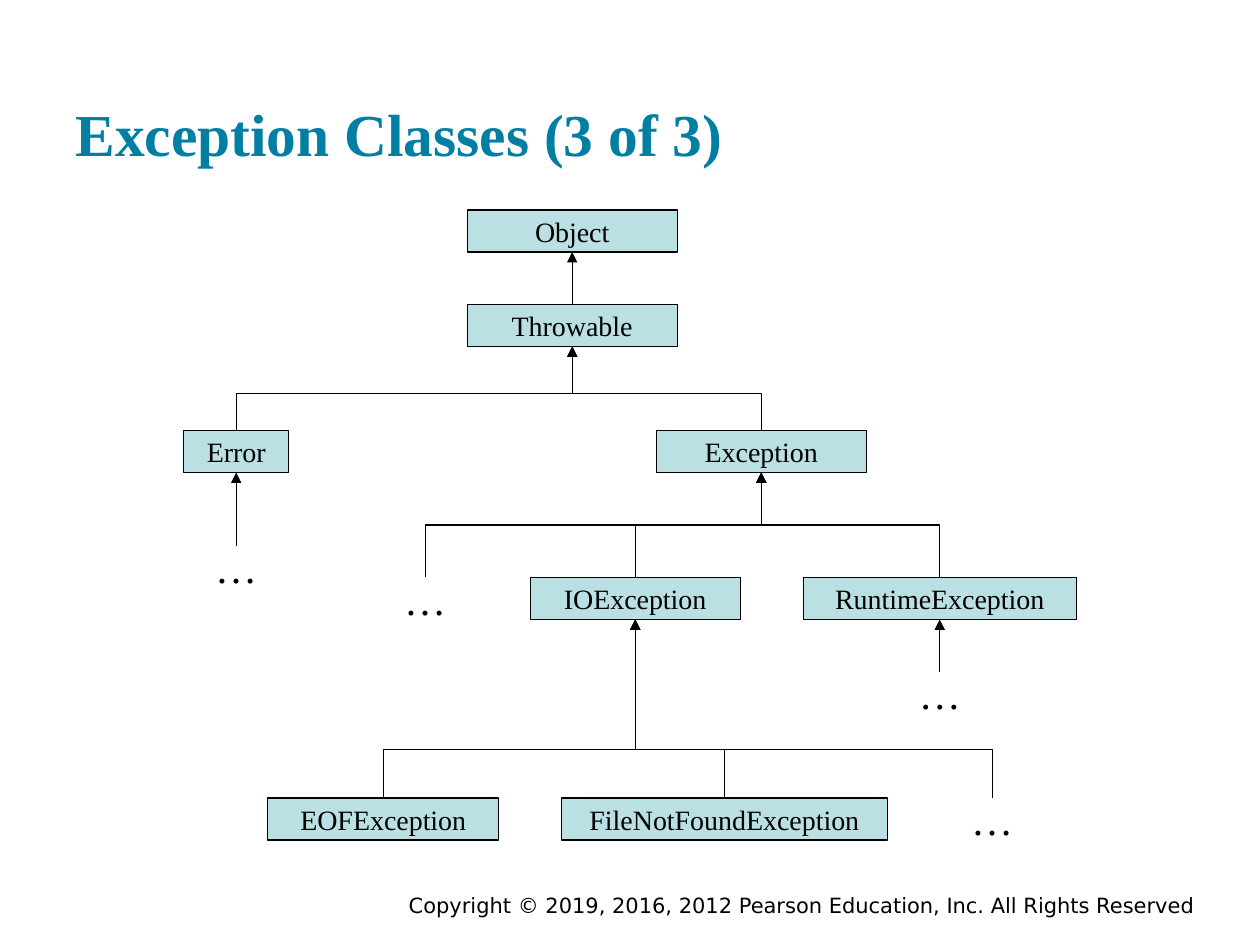
from lxml import etree
from pptx import Presentation
from pptx.dml.color import RGBColor
from pptx.enum.shapes import MSO_CONNECTOR, MSO_SHAPE
from pptx.enum.text import MSO_ANCHOR, PP_ALIGN
from pptx.oxml.ns import qn
from pptx.util import Emu, Pt

STRAIGHT, ELBOW = MSO_CONNECTOR.STRAIGHT, MSO_CONNECTOR.ELBOW
RECT = MSO_SHAPE.RECTANGLE
MIDDLE, BOTTOM = MSO_ANCHOR.MIDDLE, MSO_ANCHOR.BOTTOM
LEFT, CENTER, RIGHT = PP_ALIGN.LEFT, PP_ALIGN.CENTER, PP_ALIGN.RIGHT

TEAL = RGBColor(0x00, 0x7F, 0xA3)
PALE = RGBColor(0xBB, 0xE0, 0xE3)
BLACK = RGBColor(0x00, 0x00, 0x00)

SERIF, SANS = "Times New Roman", "DejaVu Sans"
SCALE = 9525
HIGH = 32
DOT_WIDE = 64

NODES = {
    "Object": (216, 0, 160),
    "Throwable": (216, 72, 160),
    "Exception": (360, 168, 160),
    "Error": (0, 168, 80),
    "RuntimeException": (472, 280, 208),
    "IOException": (264, 280, 160),
    "FileNotFoundException": (288, 448, 248),
    "EOFException": (64, 448, 176),
}
DOTS = {
    "Error": (8, 256),
    "RuntimeException": (544, 352),
    "IOException": (584, 448),
    "Exception": (152, 280),
}
LINKS = [
    ("Throwable", "Object", 0),
    ("Error", "Throwable", 28),
    ("Exception", "Throwable", 28),
    ("IOException", "Exception", 40),
    ("RuntimeException", "Exception", 40),
    ("FileNotFoundException", "IOException", 37),
    ("EOFException", "IOException", 37),
]
DOT_BENDS = {"Error": 0, "RuntimeException": 0, "IOException": 37, "Exception": 40}


def px(*sizes):
    """Turn px lengths into EMU."""
    return [Emu(size * SCALE) for size in sizes]


def write(shape, text, size, align, font=SERIF, color=BLACK, bold=False):
    """Put one formatted paragraph in a shape."""
    frame = shape.text_frame
    frame.text = text
    para = frame.paragraphs[0]
    para.alignment = align
    para.font.name, para.font.size = font, Pt(size)
    para.font.bold, para.font.color.rgb = bold, color
    return frame


def add_title(slide, box):
    """Place the slide title."""
    title = slide.shapes.title
    title.left, title.top, title.width, title.height = px(*box)
    frame = write(title, "Exception Classes (3 of 3)", 34, LEFT, color=TEAL, bold=True)
    frame.vertical_anchor = BOTTOM
    frame.word_wrap = True
    inset = Pt(7.2)
    frame.margin_left = frame.margin_right = inset
    frame.margin_top = frame.margin_bottom = inset


def add_foot(slide, box):
    """Place the copyright line."""
    foot = slide.shapes.add_textbox(*px(*box))
    text = "Copyright © 2019, 2016, 2012 Pearson Education, Inc. All Rights Reserved"
    write(foot, text, 12, RIGHT, SANS).word_wrap = True


def add_node(slide, name, box):
    """Draw one class box."""
    node = slide.shapes.add_shape(RECT, *px(*box))
    node.shadow.inherit = False
    node.fill.solid()
    node.fill.fore_color.rgb = PALE
    node.line.color.rgb = BLACK
    node.line.width = Pt(0.75)
    frame = write(node, name, 16, CENTER)
    frame.vertical_anchor = MIDDLE
    frame.word_wrap = False
    return node


def add_dots(slide, box):
    """Draw an ellipsis for further classes."""
    dots = slide.shapes.add_textbox(*px(*box))
    frame = write(dots, "…", 24, CENTER)
    frame.vertical_anchor = MIDDLE
    frame.word_wrap = False
    return dots


def add_elbow(slide, child, base, bend):
    """Draw a bent connector that leaves the child upward."""
    start, end = child.left + child.width // 2, base.left + base.width // 2
    low, top = child.top, base.top + base.height
    wide, high = low - top, abs(end - start)
    left, up = (start + end - wide) // 2, (low + top - high) // 2
    link = slide.shapes.add_connector(ELBOW, left, up, left + wide, up + high)
    frame = link._element.spPr.find(qn("a:xfrm"))
    frame.set("rot", str((90 if end > start else 270) * 60000))
    frame.set("flipV", "1")
    if end > start:
        frame.set("flipH", "1")
    guides = link._element.spPr.find(qn("a:prstGeom")).get_or_add_avLst()
    ratio = round(bend * SCALE / wide * 100000)
    etree.SubElement(guides, qn("a:gd"), name="adj1", fmla=f"val {ratio}")
    return link


def add_link(slide, child, base, bend):
    """Join a child to its base class with an arrow."""
    if bend:
        link = add_elbow(slide, child, base, bend)
    else:
        link = slide.shapes.add_connector(STRAIGHT, 0, 0, 0, 0)
        link.begin_connect(child, 0)
        link.end_connect(base, 2)
    link.line.color.rgb = BLACK
    link.line.width = Pt(0.75)
    etree.SubElement(link.line._get_or_add_ln(), qn("a:tailEnd"), type="triangle")
    etree.SubElement(link._element.spPr, qn("a:effectLst"))


def add_tree(slide, left, top):
    """Draw the class tree from its top left corner."""
    nodes = {
        name: add_node(slide, name, (left + x, top + y, wide, HIGH))
        for name, (x, y, wide) in NODES.items()
    }
    for child, base, bend in LINKS:
        add_link(slide, nodes[child], nodes[base], bend)
    for base, (x, y) in DOTS.items():
        dots = add_dots(slide, (left + x, top + y, DOT_WIDE, HIGH))
        add_link(slide, dots, nodes[base], DOT_BENDS[base])


def main():
    """Build and save the slide."""
    deck = Presentation()
    deck.slide_width, deck.slide_height = px(960, 720)
    slide = deck.slides.add_slide(deck.slide_layouts[5])
    add_foot(slide, (168, 675, 752, 21))
    add_title(slide, (48, 23, 864, 115))
    add_tree(slide, 140, 160)
    deck.save("out.pptx")


if __name__ == "__main__":
    main()
